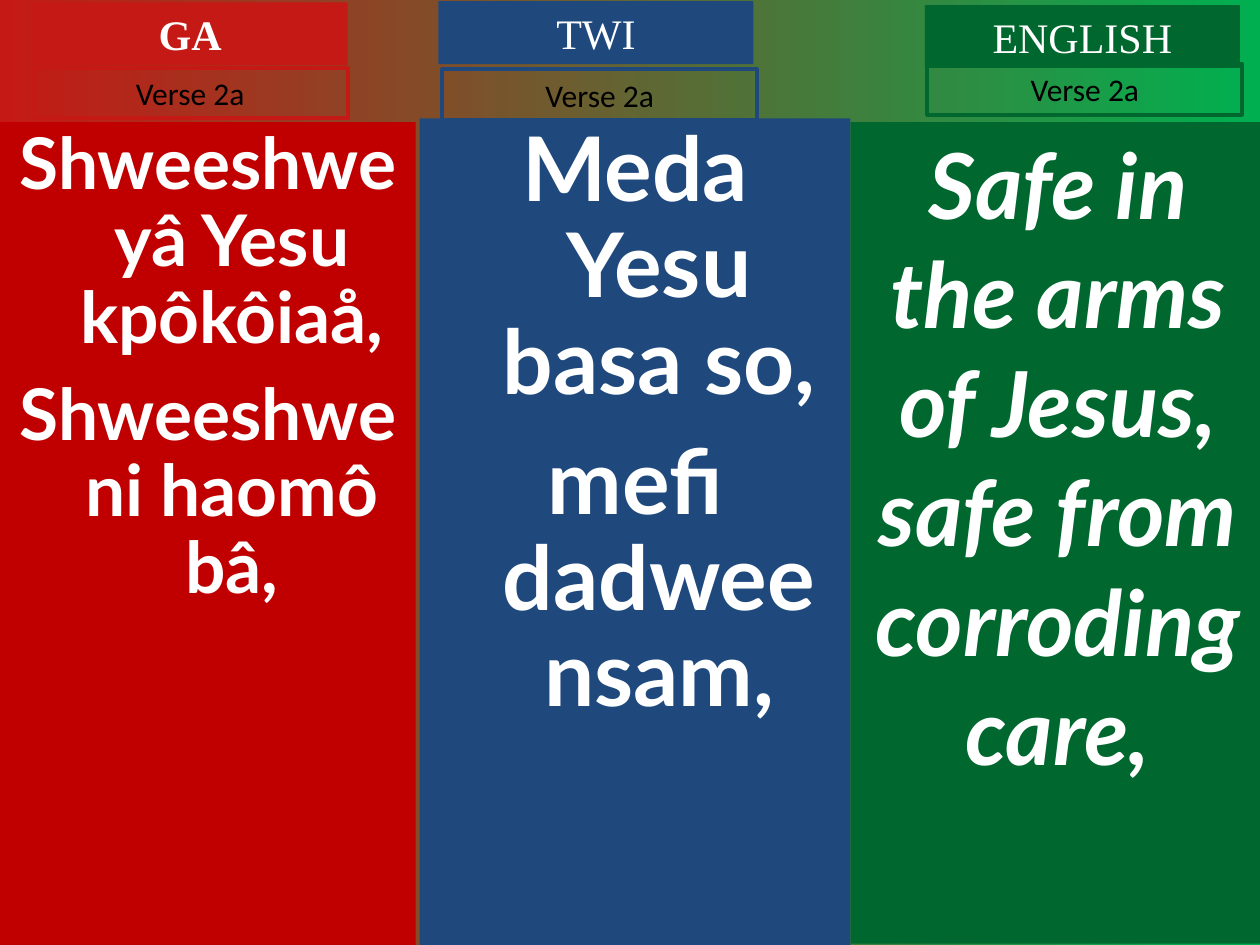
from pptx import Presentation
from pptx.dml.color import RGBColor
from pptx.enum.shapes import MSO_SHAPE
from pptx.enum.text import MSO_ANCHOR, MSO_AUTO_SIZE, PP_ALIGN
from pptx.util import Inches, Pt

WHITE, BLACK = "FFFFFF", "000000"
RED, BLUE, GREEN = "C51915", "1F497D", "00682F"


def tint(code):
    return RGBColor.from_string(code)


def backdrop(slide, *codes):
    fill = slide.background.fill
    fill.gradient()
    fill.gradient_angle = 0
    for stop, code in zip(fill.gradient_stops, codes):
        stop.color.rgb = tint(code)


def box(slide, area, fill=None, line=None):
    shape = slide.shapes.add_shape(MSO_SHAPE.RECTANGLE, *map(Inches, area))
    shape.shadow.inherit = False
    if fill:
        shape.fill.solid()
        shape.fill.fore_color.rgb = tint(fill)
    else:
        shape.fill.background()
    if line:
        shape.line.color.rgb = tint(line)
        shape.line.width = Pt(2.25)
    else:
        shape.line.fill.background()
    shape.text_frame.word_wrap = True
    return shape


def style(para, text, face, size, code, bold=False, slant=False):
    para.text = text
    para.alignment = PP_ALIGN.CENTER
    font = para.font
    font.name, font.size = face, Pt(size)
    font.bold, font.italic = bold, slant
    font.color.rgb = tint(code)


def label(shape, text, face, size, code, bold=False):
    frame = shape.text_frame
    frame.vertical_anchor = MSO_ANCHOR.MIDDLE
    frame.auto_size = MSO_AUTO_SIZE.SHAPE_TO_FIT_TEXT
    style(frame.paragraphs[0], text, face, size, code, bold)


def lyrics(slide, area, fill, lines, size, gap=0, hang=0, pitch=1, slant=False):
    frame = box(slide, area, fill).text_frame
    frame.vertical_anchor = MSO_ANCHOR.TOP
    for num, text in enumerate(lines):
        para = frame.add_paragraph() if num else frame.paragraphs[0]
        props = para._p.get_or_add_pPr()
        props.set("marL", str(Inches(hang)))
        props.set("indent", str(-Inches(hang)))
        para.line_spacing = pitch
        para.space_before = Pt(gap if num else 0)
        style(para, text, "Lato", size, WHITE, True, slant)


def header(slide, name, code, title, verse, bold=False):
    top = box(slide, (*title, 2.5, 0.5), fill=code)
    label(top, name, "Times New Roman", 24, WHITE, bold)
    low = box(slide, (*verse, 2.5, 0.4), line=code)
    label(low, "Verse 2a", "Calibri", 18, BLACK)


def main():
    deck = Presentation()
    deck.slide_width, deck.slide_height = Inches(10), Inches(7.5)
    slide = deck.slides.add_slide(deck.slide_layouts[6])
    backdrop(slide, RED, "00B050")

    lyrics(slide, (0, 0.97, 3.3, 6.53), "C00000",
           ["Shweeshwe yâ Yesu kpôkôiaå,", "Shweeshwe ni haomô bâ,"],
           40.7, gap=11, hang=0.38, pitch=0.9)
    lyrics(slide, (3.33, 0.94, 3.42, 6.56), BLUE,
           ["Meda Yesu basa so,", "mefi dadwee nsam,"],
           50.9, gap=13.8, hang=0.38, pitch=0.9)
    lyrics(slide, (6.75, 0.97, 3.29, 6.52), GREEN,
           ["Safe in the arms of Jesus, safe from corroding care,"],
           52, slant=True)

    header(slide, "GA", RED, (0.26, 0.02), (0.26, 0.54), bold=True)
    header(slide, "TWI", BLUE, (3.48, 0.01), (3.51, 0.55))
    header(slide, "ENGLISH", GREEN, (7.34, 0.04), (7.36, 0.51))

    deck.save("out.pptx")


if __name__ == "__main__":
    main()
